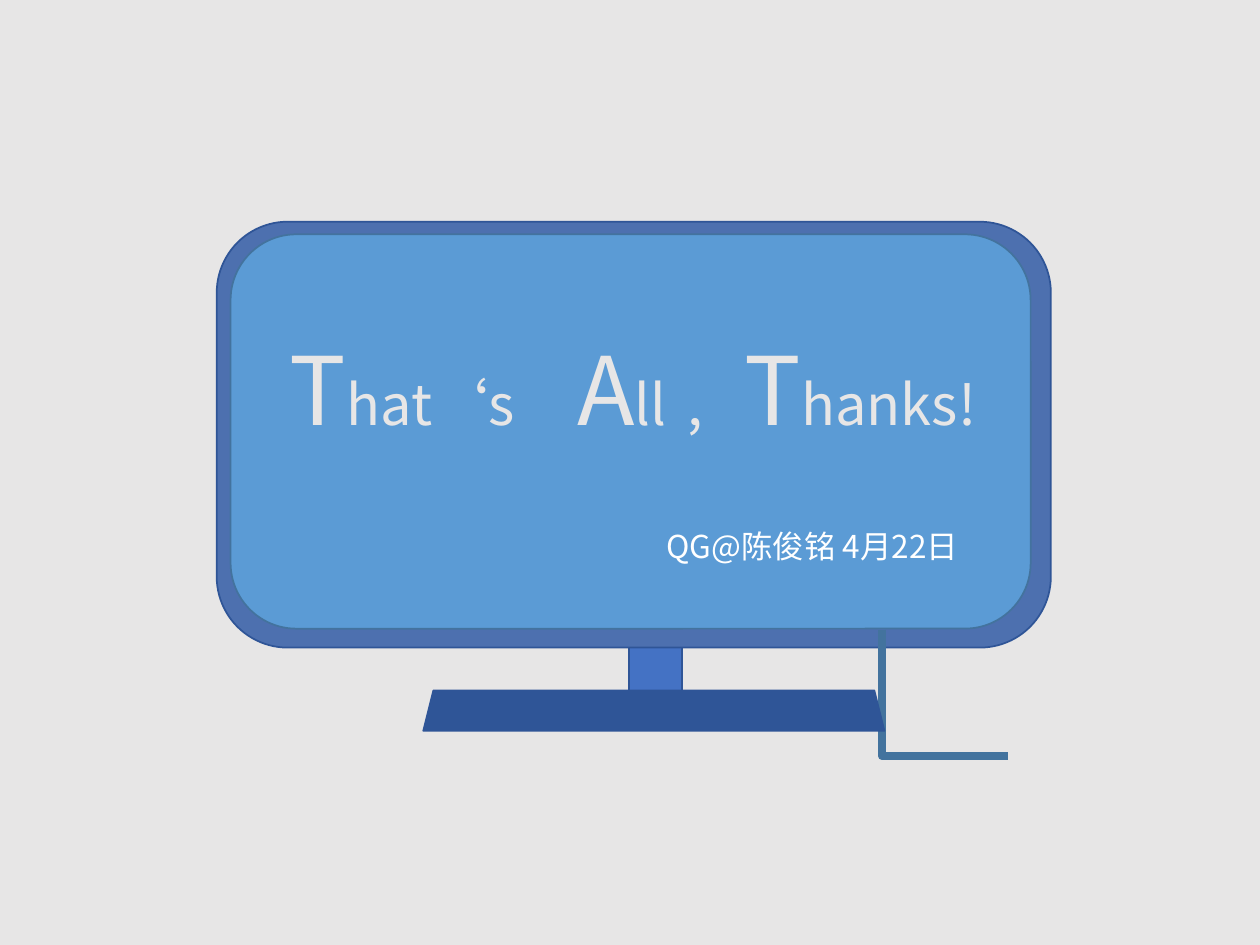
from dataclasses import dataclass
from lxml import etree
from pptx import Presentation
from pptx.dml.color import RGBColor
from pptx.enum.shapes import MSO_SHAPE
from pptx.enum.text import MSO_ANCHOR, MSO_AUTO_SIZE, PP_ALIGN
from pptx.oxml.ns import qn
from pptx.util import Inches, Pt

RECTANGLE = MSO_SHAPE.RECTANGLE
ROUNDED = MSO_SHAPE.ROUNDED_RECTANGLE
TRAPEZOID = MSO_SHAPE.TRAPEZOID
TOP = MSO_ANCHOR.TOP
GROW = MSO_AUTO_SIZE.SHAPE_TO_FIT_TEXT
LEFT = PP_ALIGN.LEFT

GREY = RGBColor(0xE7, 0xE6, 0xE6)
WHITE = RGBColor(0xFF, 0xFF, 0xFF)
BLUE = RGBColor(0x44, 0x72, 0xC4)
FRAME_BLUE = RGBColor(0x4D, 0x70, 0xAF)
SCREEN_BLUE = RGBColor(0x5B, 0x9B, 0xD5)
DARK_BLUE = RGBColor(0x2F, 0x55, 0x97)
CABLE_BLUE = RGBColor(0x43, 0x73, 0x9E)

FONT = "Noto Sans CJK SC"
LARGE, SMALL, SIGNATURE = 54, 32, 18
TITLE_TABS = (2.28, 3.16, 3.61)
CABLE_START = (7.17, 5.1)
CABLE_CURVES = (
    ((7.23, 5.36), (7.3, 5.61), (7.41, 5.75)),
    ((7.52, 5.89), (7.75, 5.92), (7.83, 5.95)),
    ((7.9, 5.98), (7.89, 5.96), (7.87, 5.94)),
)
CURVE_STEPS = 12


@dataclass(frozen=True)
class Part:
    kind: int
    bounds: tuple[float, float, float, float]
    fill: RGBColor
    line: RGBColor


@dataclass(frozen=True)
class Span:
    text: str
    size: int


NECK = Part(RECTANGLE, (4.99, 5.09, 0.42, 0.45), BLUE, DARK_BLUE)
FRAME = Part(ROUNDED, (1.72, 1.76, 6.62, 3.38), FRAME_BLUE, DARK_BLUE)
BASE = Part(TRAPEZOID, (3.36, 5.48, 3.66, 0.32), DARK_BLUE, DARK_BLUE)
SCREEN = Part(ROUNDED, (1.83, 1.86, 6.35, 3.13), SCREEN_BLUE, CABLE_BLUE)

TITLE = (
    Span("T", LARGE),
    Span("hat‘s\t", SMALL),
    Span("A", LARGE),
    Span("ll\t,\t", SMALL),
    Span("T", LARGE),
    Span("hanks!", SMALL),
)


def set_values(target, values: dict) -> None:
    for name, value in values.items():
        setattr(target, name, value)


def draw_part(page, part: Part) -> None:
    shape = page.shapes.add_shape(part.kind, *map(Inches, part.bounds))
    shape.shadow.inherit = False
    shape.fill.solid()
    shape.fill.fore_color.rgb = part.fill
    shape.line.color.rgb = part.line
    shape.line.width = Pt(1)


def curve_points(start: tuple, curves: tuple) -> list[tuple[float, float]]:
    points = []
    for first, second, end in curves:
        for step in range(1, CURVE_STEPS + 1):
            t = step / CURVE_STEPS
            weights = ((1 - t) ** 3, 3 * t * (1 - t) ** 2, 3 * t * t * (1 - t), t ** 3)
            corners = (start, first, second, end)
            points.append(tuple(
                sum(weight * corner[axis] for weight, corner in zip(weights, corners))
                for axis in (0, 1)
            ))
        start = end
    return points


def draw_cable(page) -> None:
    builder = page.shapes.build_freeform(*CABLE_START, scale=Inches(1))
    builder.add_line_segments(curve_points(CABLE_START, CABLE_CURVES), close=False)
    cable = builder.convert_to_shape()
    cable.shadow.inherit = False
    cable.fill.background()
    cable.line.color.rgb = CABLE_BLUE
    cable.line.width = Pt(4.5)


def fill_placeholder(page, box, bounds: tuple, spans: tuple[Span, ...],
                     color: RGBColor, tabs: tuple = ()) -> None:
    set_values(box, dict(zip(("left", "top", "width", "height"), map(Inches, bounds))))
    page.shapes.element.append(box.element)
    frame = box.text_frame
    set_values(frame, {"word_wrap": True, "auto_size": GROW, "vertical_anchor": TOP})
    para = frame.paragraphs[0]
    set_values(para, {"alignment": LEFT, "space_before": Pt(0)})
    if tabs:
        stops = etree.SubElement(para._p.get_or_add_pPr(), qn("a:tabLst"))
        for position in tabs:
            etree.SubElement(stops, qn("a:tab"), pos=str(Inches(position)), algn="l")
    for span in spans:
        run = para.add_run()
        run.text = span.text
        set_values(run.font, {"name": FONT, "size": Pt(span.size)})
        run.font.color.rgb = color
        etree.SubElement(run._r.get_or_add_rPr(), qn("a:ea"), typeface=FONT)


def main() -> None:
    deck = Presentation()
    deck.slide_width, deck.slide_height = Inches(10), Inches(7.5)
    page = deck.slides.add_slide(deck.slide_layouts[0])
    page.background.fill.solid()
    page.background.fill.fore_color.rgb = GREY
    title, signature = page.placeholders
    draw_part(page, NECK)
    draw_part(page, FRAME)
    draw_cable(page)
    draw_part(page, BASE)
    draw_part(page, SCREEN)
    fill_placeholder(page, title, (2.2, 2.58, 5.99, 1.01), TITLE, GREY, TITLE_TABS)
    fill_placeholder(page, signature, (5.19, 4.13, 2.77, 0.4),
                     (Span("QG@陈俊铭 4月22日", SIGNATURE),), WHITE)
    deck.save("out.pptx")


if __name__ == "__main__":
    main()
